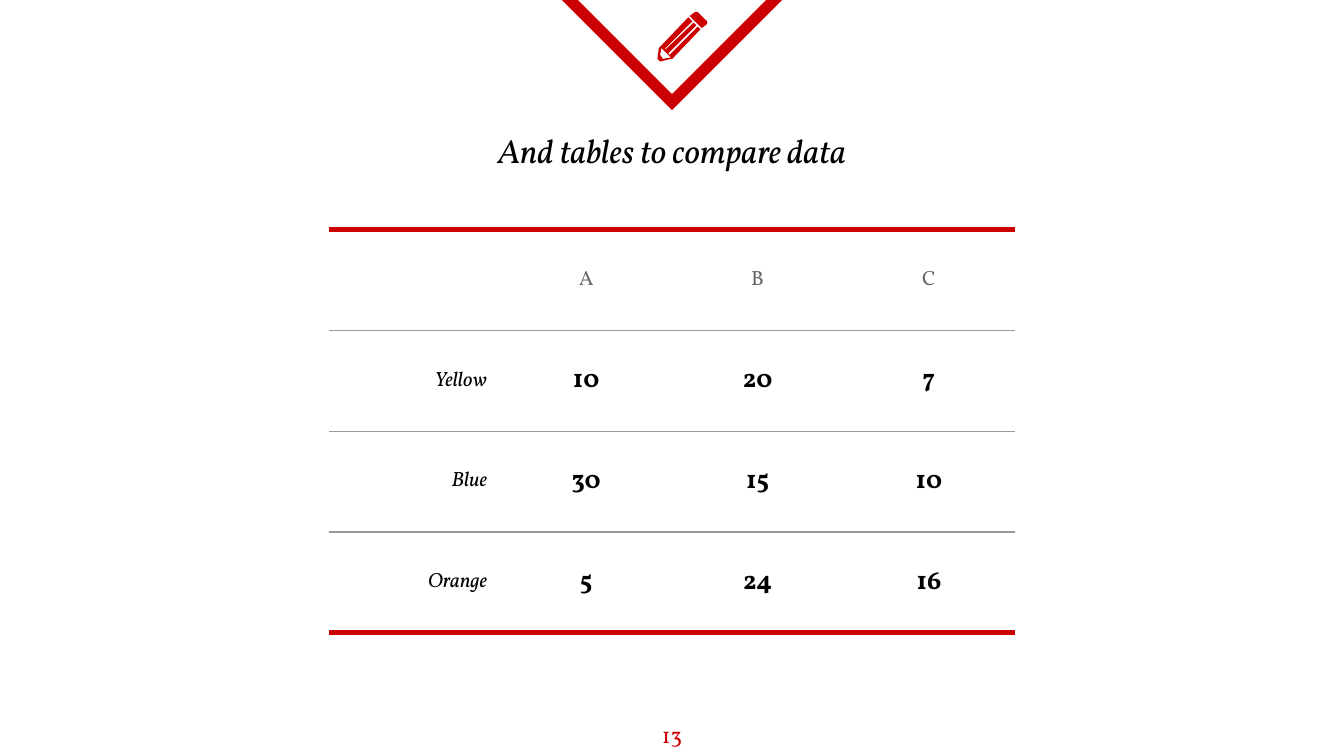
from lxml.etree import SubElement
from pptx import Presentation
from pptx.dml.color import RGBColor
from pptx.enum.shapes import MSO_SHAPE
from pptx.enum.text import MSO_ANCHOR, MSO_AUTO_SIZE, PP_ALIGN
from pptx.oxml.ns import qn
from pptx.util import Pt

RED = RGBColor(0xCC, 0x00, 0x00)
GRAY = RGBColor(0x99, 0x99, 0x99)
DARK_GRAY = RGBColor(0x66, 0x66, 0x66)
BLACK = RGBColor(0x00, 0x00, 0x00)
FONT = "Vollkorn"

ROWS = [
    ["", "A", "B", "C"],
    ["Yellow", "10", "20", "7"],
    ["Blue", "30", "15", "10"],
    ["Orange", "5", "24", "16"],
]
ERASER = [[(28, 0), (24, 3), (33, 12), (37, 9), (37, 7), (30, 0)]]
PENCIL_BODY = [
    [(3, 27), (10, 34), (4, 35), (2, 32)],
    [(23, 4), (2, 26), (1, 27), (0, 35), (1, 36), (2, 37), (10, 35), (11, 35),
     (32, 13), (30, 11), (9, 32), (8, 31), (29, 10), (27, 8), (6, 28), (5, 28), (26, 7)],
]


def write_text(frame, text, size=11, color=BLACK, bold=False, italic=False,
               align=PP_ALIGN.CENTER):
    """Write one formatted paragraph into a text frame."""
    paragraph = frame.paragraphs[0]
    paragraph.alignment = align
    run = paragraph.add_run()
    run.text = text
    font = run.font
    font.name, font.size, font.bold, font.italic = FONT, Pt(size), bold, italic
    font.color.rgb = color


def set_frame(frame, anchor):
    """Give a text frame its wrapping, anchor and even margins."""
    frame.word_wrap = True
    frame.auto_size = MSO_AUTO_SIZE.NONE
    frame.vertical_anchor = anchor
    frame.margin_left = frame.margin_right = Pt(7.2)
    frame.margin_top = frame.margin_bottom = Pt(7.2)


def set_border(cell, side, color=None, width=0):
    """Draw one side of a cell, or clear it when no colour is given."""
    edge = SubElement(cell._tc.get_or_add_tcPr(), qn(f"a:ln{side}"), w=str(Pt(width)))
    if color is None:
        SubElement(edge, qn("a:noFill"))
    else:
        fill = SubElement(edge, qn("a:solidFill"))
        SubElement(fill, qn("a:srgbClr"), val=str(color))


def add_pointer(slide, left, top, width, height):
    """Add the red outlined triangle that points down from the top edge."""
    pointer = slide.shapes.add_shape(
        MSO_SHAPE.ISOSCELES_TRIANGLE, Pt(left), Pt(top), Pt(width), Pt(height))
    pointer.rotation = 180
    pointer.shadow.inherit = False
    pointer.fill.background()
    pointer.line.color.rgb = RED
    pointer.line.width = Pt(6)
    SubElement(pointer.line._get_or_add_ln(), qn("a:miter"), lim="800000")


def add_pencil(slide, left, top, size):
    """Add the pencil icon, drawn on a grid of 37 units."""
    for contours in (ERASER, PENCIL_BODY):
        builder = slide.shapes.build_freeform(*contours[0][0], scale=Pt(size) / 37)
        for index, contour in enumerate(contours):
            if index:
                builder.move_to(*contour[0])
            builder.add_line_segments(contour[1:], close=True)
        part = builder.convert_to_shape(Pt(left), Pt(top))
        part.shadow.inherit = False
        part.fill.solid()
        part.fill.fore_color.rgb = RED
        part.line.fill.background()


def add_title(slide, left, top, width, height):
    """Place and fill the title placeholder."""
    title = slide.shapes.title
    title.left, title.top, title.width, title.height = map(Pt, (left, top, width, height))
    set_frame(title.text_frame, MSO_ANCHOR.MIDDLE)
    write_text(title.text_frame, "And tables to compare data", size=18, italic=True)


def add_comparison(slide, left, top, width, height):
    """Add the comparison table with ruled rows."""
    count = len(ROWS)
    table = slide.shapes.add_table(
        count, len(ROWS[0]), Pt(left), Pt(top), Pt(width), Pt(height)).table
    table.first_row = table.horz_banding = False
    for r, values in enumerate(ROWS):
        for c, value in enumerate(values):
            cell = table.cell(r, c)
            cell.vertical_anchor = MSO_ANCHOR.MIDDLE
            set_border(cell, "L")
            set_border(cell, "R")
            set_border(cell, "T", *((RED, 3) if r == 0 else (GRAY, 0.75)))
            set_border(cell, "B", *((RED, 3) if r == count - 1 else (GRAY, 0.75)))
            cell.fill.background()
            if not value:
                continue
            if r == 0:
                look = dict(color=DARK_GRAY)
            elif c == 0:
                look = dict(italic=True, align=PP_ALIGN.RIGHT)
            else:
                look = dict(size=14, bold=True)
            write_text(cell.text_frame, value, **look)


def add_page_number(slide, left, top, width, height):
    """Add the page number along the bottom edge."""
    number = slide.shapes.add_textbox(Pt(left), Pt(top), Pt(width), Pt(height))
    set_frame(number.text_frame, MSO_ANCHOR.TOP)
    write_text(number.text_frame, "13", size=12, color=RED)


def main():
    """Build the slide and save it."""
    deck = Presentation()
    deck.slide_width, deck.slide_height = Pt(720), Pt(405)
    slide = deck.slides.add_slide(deck.slide_layouts[5])
    add_pointer(slide, 301, -4.3, 118, 59)
    add_title(slide, 81.4, 59, 557.2, 42.5)
    add_comparison(slide, 176.4, 123, 367.2, 216)
    add_pencil(slide, 352.2, 6.4, 26.64)
    add_page_number(slide, 0, 379, 720, 26)
    deck.save("out.pptx")


if __name__ == "__main__":
    main()
